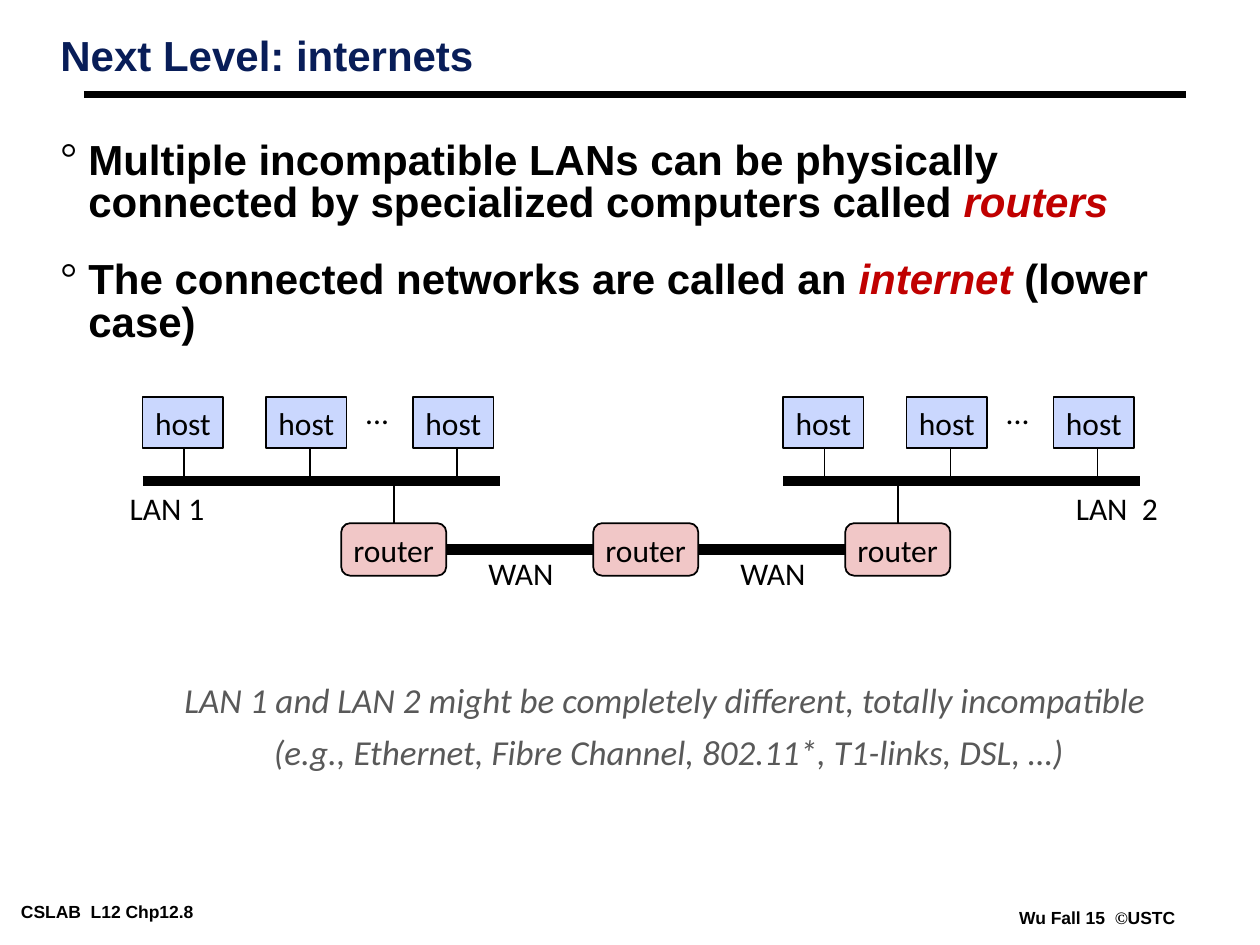
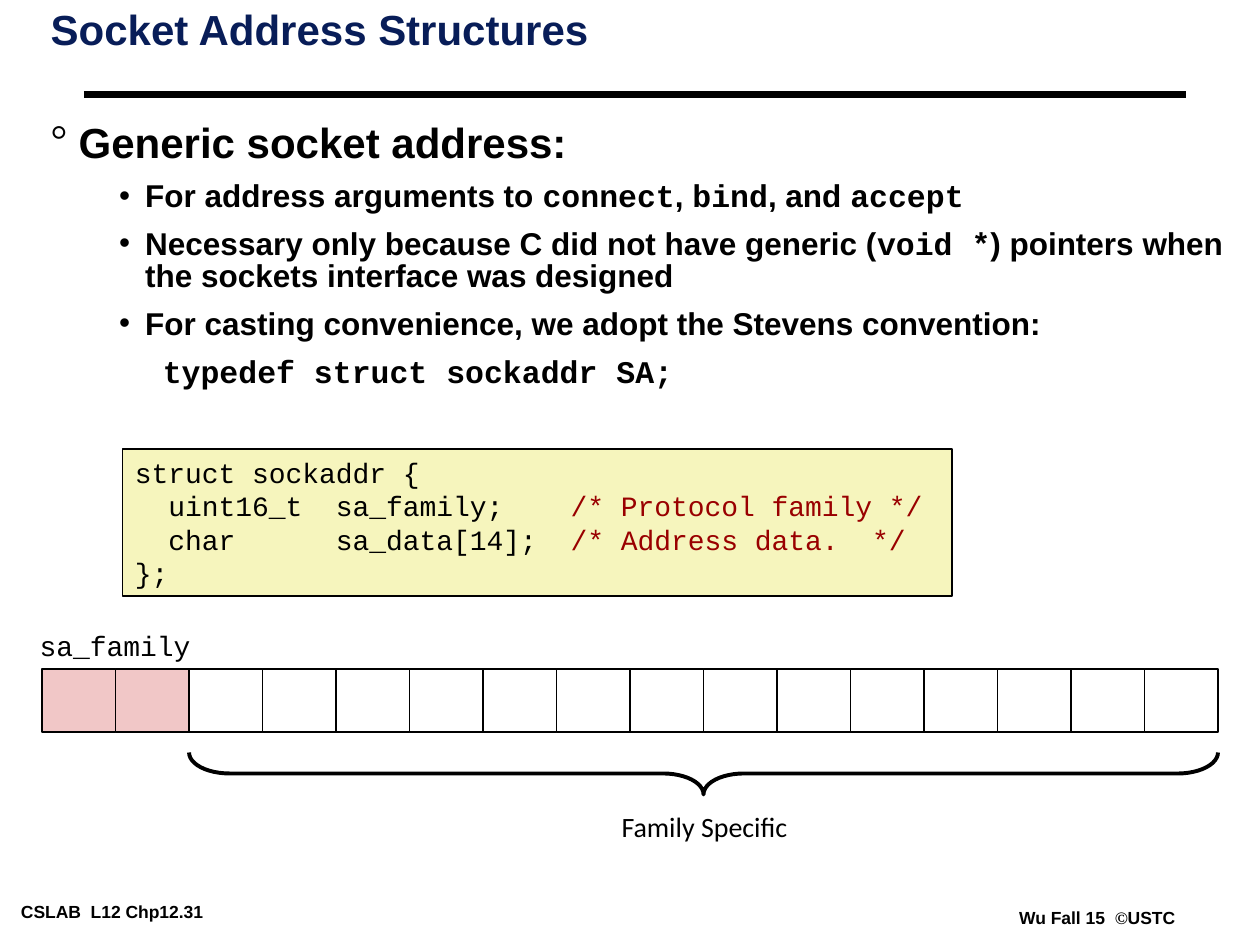
from dataclasses import dataclass
from lxml.etree import SubElement
from pptx import Presentation
from pptx.dml.color import RGBColor
from pptx.enum.shapes import MSO_CONNECTOR, MSO_SHAPE
from pptx.enum.text import MSO_ANCHOR, MSO_AUTO_SIZE, PP_ALIGN
from pptx.oxml.ns import qn
from pptx.util import Pt


@dataclass(frozen=True)
class Theme:
    black: str = "000000"
    navy: str = "081D58"
    red: str = "C00000"
    comment: str = "990000"
    grey: str = "595959"
    host: str = "CAD7FE"
    router: str = "F1C7C7"
    code: str = "F6F5BD"
    heading_font: str = "Arial"
    label_font: str = "Calibri"
    code_font: str = "Courier New"
    symbol_font: str = "Times New Roman"
    heading_size: int = 24
    caption_size: int = 20
    label_size: int = 18
    code_size: int = 16
    footer_size: int = 10


THEME = Theme()

# Run styles: font, colour, italic; None keeps the paragraph's own setting
SPANS = {
    "code": (THEME.code_font, None, None),
    "term": (None, THEME.red, True),
    "comment": (None, THEME.comment, None),
    "symbol": (THEME.symbol_font, None, None),
}

# Paragraph levels: left margin, first indent, line spacing, space before,
# bullet, bullet font, type size
LEVELS = {
    "point": (16, -16, 0.85, 19.5, "°", THEME.symbol_font, THEME.heading_size),
    "tight": (16, -16, 0.75, 19.5, "°", THEME.symbol_font, THEME.heading_size),
    "detail": (54, -15, 0.85, 9, "•", THEME.heading_font, THEME.label_size),
    "example": (64, 0, 0.85, 9, None, None, THEME.label_size),
}


def add_box(page, frame, lines=(), kind=None, fill=None, font=THEME.label_font,
            size=THEME.label_size, color=THEME.black, bold=False, italic=False,
            align=PP_ALIGN.CENTER, anchor=MSO_ANCHOR.MIDDLE, insets=(7.2, 3.6), gap=0):
    """Add a text box, or a preset shape if kind is given.

    Each line is a list of (text, span style), optionally led by a level name.
    """
    frame = [Pt(length) for length in frame]
    if kind is None:
        box = page.shapes.add_textbox(*frame)
    else:
        box = page.shapes.add_shape(kind, *frame)
        box.shadow.inherit = False
        box.line.color.rgb = RGBColor.from_string(THEME.black)
        box.line.width = Pt(1)
        if fill:
            box.fill.solid()
            box.fill.fore_color.rgb = RGBColor.from_string(fill)
        else:
            box.fill.background()
    text = box.text_frame
    text.word_wrap = align == PP_ALIGN.LEFT
    text.vertical_anchor = anchor
    text.margin_left = text.margin_right = Pt(insets[0])
    text.margin_top = text.margin_bottom = Pt(insets[1])
    for index, line in enumerate(lines):
        para = text.add_paragraph() if index else text.paragraphs[0]
        para.alignment = align
        before, para_size = gap, size
        if isinstance(line[0], str):
            margin, indent, spacing, before, bullet, bullet_font, para_size = LEVELS[line[0]]
            line = line[1:]
            para.line_spacing = spacing
            properties = para._p.get_or_add_pPr()
            properties.set("marL", str(Pt(margin)))
            properties.set("indent", str(Pt(indent)))
            if bullet:
                bullet_color = SubElement(properties, qn("a:buClr"))
                SubElement(bullet_color, qn("a:srgbClr"), val=THEME.black)
                SubElement(properties, qn("a:buFont"), typeface=bullet_font)
                SubElement(properties, qn("a:buChar"), char=bullet)
        if index and before:
            para.space_before = Pt(before)
        para.font.name, para.font.size = font, Pt(para_size)
        para.font.bold, para.font.italic = bold, italic
        para.font.color.rgb = RGBColor.from_string(color)
        for words, style in line:
            span = para.add_run()
            span.text = words
            if style:
                span_font, span_color, span.font.italic = SPANS[style]
                if span_font:
                    span.font.name = span_font
                if span_color:
                    span.font.color.rgb = RGBColor.from_string(span_color)
    return box


def add_line(page, start, end, width):
    line = page.shapes.add_connector(
        MSO_CONNECTOR.STRAIGHT, *[Pt(length) for length in (*start, *end)])
    line.line.color.rgb = RGBColor.from_string(THEME.black)
    line.line.width = Pt(width)
    SubElement(line._element.spPr, qn("a:effectLst"))
    return line


deck = Presentation()
deck.slide_width, deck.slide_height = Pt(720), Pt(540)

heading_look = dict(font=THEME.heading_font, bold=True, align=PP_ALIGN.LEFT,
                    anchor=MSO_ANCHOR.TOP, insets=(5, 2))
code_look = dict(font=THEME.code_font, size=THEME.code_size, anchor=MSO_ANCHOR.TOP)

# Title, rule, footers and bullet text of every page
outlines = [
    ("Next Level: internets", (29.5, 18.7, 508, 45), 8, (29.5, 78.5, 654.5, 122), [
        ["point",
         ("Multiple incompatible LANs can be physically connected by specialized "
          "computers called ", None),
         ("routers", "term")],
        ["point", ("The connected networks are called an ", None), ("internet ", "term"),
         ("(lower case)", None)],
    ]),
    ("Socket Address Structures", (24, 4, 686, 61), 31, (24, 71.3, 686, 317), [
        ["tight", ("Generic socket address:", None)],
        ["detail", ("For address arguments to ", None), ("connect", "code"), (", ", None),
         ("bind", "code"), (", and ", None), ("accept", "code")],
        ["detail", ("Necessary only because C did not have generic (", None),
         ("void *", "code"),
         (") pointers when the sockets interface was designed", None)],
        ["detail", ("For casting convenience, we adopt the Stevens convention:", None)],
        ["example", ("typedef struct sockaddr SA;", "code")],
    ]),
]
pages = []
for heading, title_frame, number, body_frame, body in outlines:
    page = deck.slides.add_slide(deck.slide_layouts[5])
    pages.append(page)
    title = page.shapes.title
    title.left, title.top, title.width, title.height = [Pt(length) for length in title_frame]
    text = title.text_frame
    text.text = heading
    text.word_wrap = True
    text.auto_size = MSO_AUTO_SIZE.NONE
    text.vertical_anchor = MSO_ANCHOR.TOP
    text.margin_left = text.margin_right = Pt(5)
    text.margin_top = text.margin_bottom = Pt(2)
    para = text.paragraphs[0]
    para.alignment = PP_ALIGN.LEFT
    para.line_spacing = 0.87
    para.font.name, para.font.size = THEME.heading_font, Pt(THEME.heading_size)
    para.font.bold = True
    para.font.color.rgb = RGBColor.from_string(THEME.navy)

    add_line(page, (48, 54), (678, 54), 4.5)
    add_box(page, (7, 513, 151, 16), [[(f"CSLAB  L12 Chp12.{number}", None)]],
            size=THEME.footer_size, **heading_look)
    add_box(page, (577.4, 516.5, 110, 16),
            [[("Wu Fall 15  ", None), ("©", "symbol"), ("USTC", None)]],
            size=THEME.footer_size, **heading_look)
    add_box(page, body_frame, body, **heading_look)

network_page, socket_page = pages

# Two LANs of three hosts each
BUS_Y = 275
for lan_left in (81.5, 447.5):
    add_line(network_page, (lan_left, BUS_Y), (lan_left + 204, BUS_Y), 6)
    for host_offset, drop_offset in ((0, 23.7), (70.5, 95.7), (154.5, 179.6)):
        drop_x = lan_left + drop_offset
        add_line(network_page, (drop_x, 251), (drop_x, BUS_Y), 1)
        add_box(network_page, (lan_left + host_offset, 227, 46, 29), [[("host", None)]],
                MSO_SHAPE.RECTANGLE, THEME.host)
    add_box(network_page, (lan_left + 120, 221, 28, 29), [[("...", None)]])

# Routers, evenly spaced and joined by WAN links
ROUTER_LEFT, ROUTER_STEP, ROUTER_WIDTH, ROUTER_TOP = 195, 144, 60, 299
routers = []
for index in range(3):
    router = add_box(
        network_page,
        (ROUTER_LEFT + index * ROUTER_STEP, ROUTER_TOP, ROUTER_WIDTH, 30),
        [[("router", None)]], MSO_SHAPE.ROUNDED_RECTANGLE, THEME.router)
    router.adjustments[0] = 0.17
    routers.append(router)
for left_router, right_router in zip(routers, routers[1:]):
    wan = add_line(network_page, (0, 0), (0, 0), 6)
    wan.begin_connect(left_router, 3)
    wan.end_connect(right_router, 1)
for index in (0, 2):
    router_x = ROUTER_LEFT + index * ROUTER_STEP + ROUTER_WIDTH / 2
    uplink = add_line(network_page, (router_x, BUS_Y), (router_x, ROUTER_TOP), 1)
    uplink.end_connect(routers[index], 0)

# Labels, each centred on its x with room for one line
LABEL_WIDTH = 80
for label, center_x, top in (("WAN", 297.7, 312.8), ("WAN", 441.7, 312.8),
                             ("LAN 1", 95.5, 275.7), ("LAN  2", 638.2, 275.7)):
    add_box(network_page, (center_x - LABEL_WIDTH / 2, top, LABEL_WIDTH, 29),
            [[(label, None)]])
add_box(network_page, (62.6, 384, 639.4, 61),
        [[("LAN 1 and LAN 2 might be completely different, totally incompatible ", None)],
         [("(e.g., Ethernet, Fibre Channel, 802.11*, T1-links, DSL, …)", None)]],
        size=THEME.caption_size, color=THEME.grey, italic=True,
        anchor=MSO_ANCHOR.TOP, gap=6)

# Structure definition and its byte layout
add_box(socket_page, (70, 256.6, 474, 84),
        [[("struct sockaddr {", None)],
         [("  uint16_t  sa_family;    ", None), ("/* Protocol family */", "comment")],
         [("  char      sa_data[14];  ", None), ("/* Address data.  */", "comment")],
         [("};", None)]],
        MSO_SHAPE.RECTANGLE, THEME.code, align=PP_ALIGN.LEFT, **code_look)

BYTES_LEFT, BYTE_WIDTH, BYTE_COUNT, FAMILY_BYTES = 24, 42, 16, 2
byte_row = socket_page.shapes.add_group_shape()
for index in range(BYTE_COUNT):
    add_box(byte_row, (BYTES_LEFT + index * BYTE_WIDTH, 382.3, BYTE_WIDTH, 36),
            kind=MSO_SHAPE.RECTANGLE, fill=THEME.router if index < FAMILY_BYTES else None)
add_box(socket_page, (5.8, 355.7, 120, 26.6), [[("sa_family", None)]], **code_look)
add_box(socket_page, (342.5, 458.8, 120, 26.6), [[("Family Specific", None)]],
        size=THEME.code_size, anchor=MSO_ANCHOR.TOP)

# The brace spans the data bytes; it is turned a quarter to point down
brace_length, brace_depth, brace_top = (BYTE_COUNT - FAMILY_BYTES) * BYTE_WIDTH, 24, 430
brace_x = BYTES_LEFT + FAMILY_BYTES * BYTE_WIDTH + brace_length / 2
brace_y = brace_top + brace_depth / 2
brace = add_box(socket_page, (brace_x - brace_depth / 2, brace_y - brace_length / 2,
                              brace_depth, brace_length), kind=MSO_SHAPE.RIGHT_BRACE)
brace.rotation = 90
brace.adjustments[0] = 0.96
brace.line.width = Pt(2.25)

deck.save("out.pptx")
